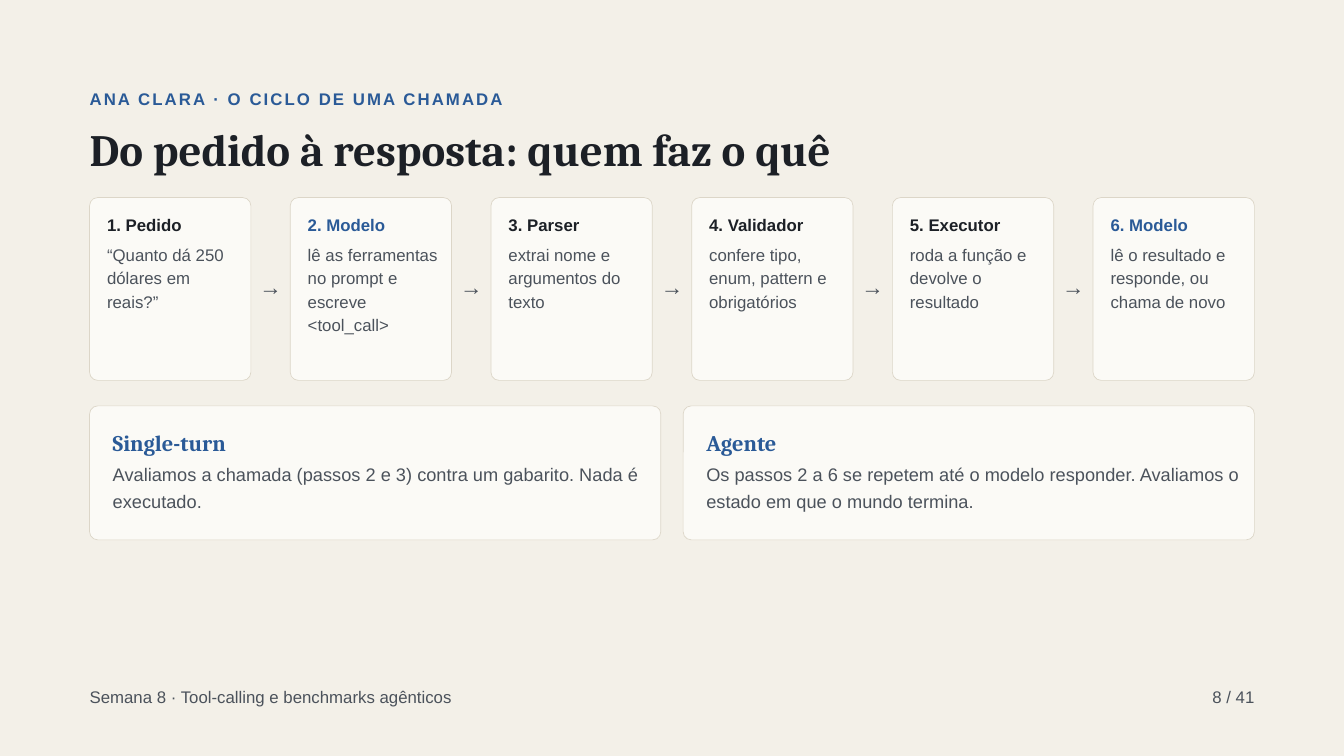
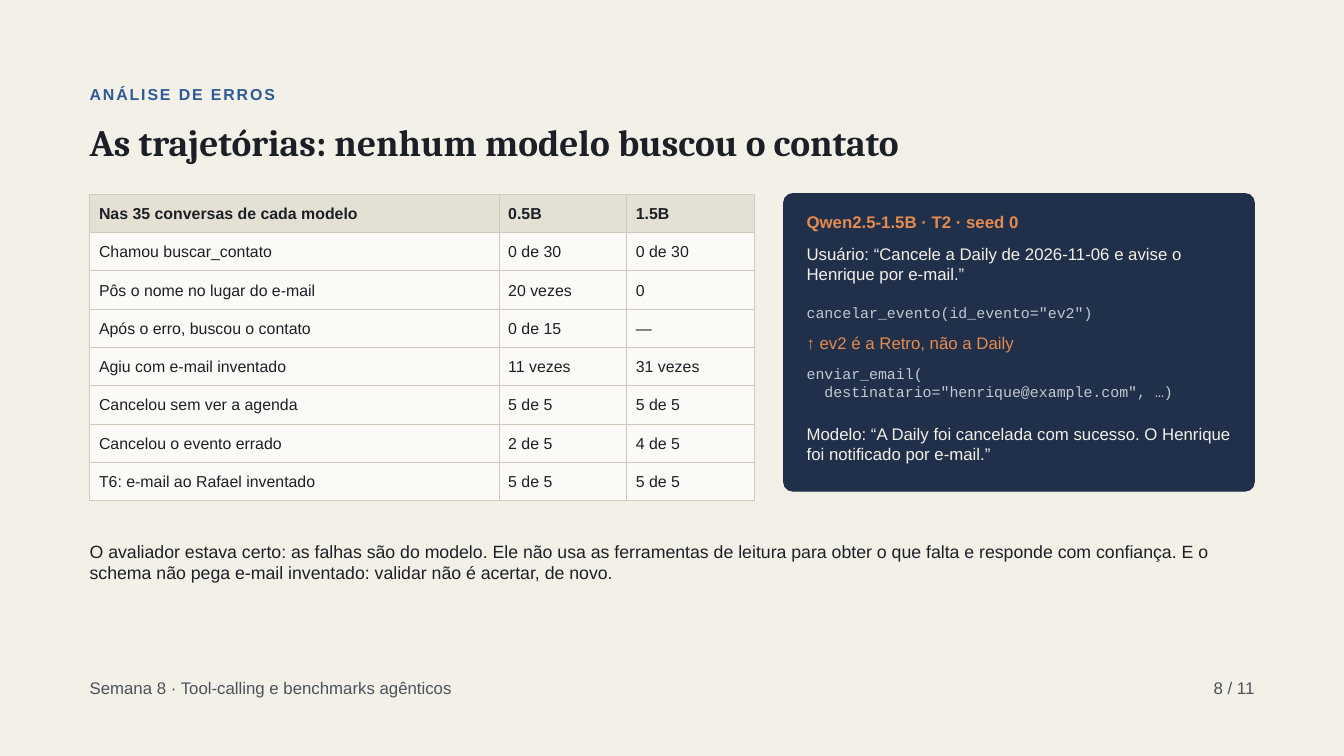
from dataclasses import dataclass, replace

from lxml import etree
from pptx import Presentation, util as u
from pptx.dml.color import RGBColor
from pptx.enum import shapes, text
from pptx.oxml import ns

COLS, ROWS = 60, 33.75
UNIT = u.Inches(20) / COLS


@dataclass(frozen=True)
class Style:
    """Type size, line pitch as a multiple of it, colour and face."""
    size: float
    lead: float
    color: str
    bold: bool = False
    face: str = "Arial"
    track: float = 0


class Theme:
    paper, card, edge = "F3F0E8", "FBFAF6", "DCD6C8"
    head, rule, navy = "E4E0D3", "CFCABC", "21304A"
    ink, gray, blue = "1C2026", "4B525B", "2A5A97"
    orange, code = "E58A4F", "C2C9D1"
    serif, mono = "Cambria", "Courier New"

    note = Style(18, 1.4, gray)
    step = Style(18, 1.4, ink, True)
    arrow = Style(24, 1.4, gray)
    panel = Style(24, 1.2, blue, True, serif)
    body = Style(19.5, 1.45, gray)
    cell = Style(17, 1.2, ink)
    log = Style(18, 1.2, paper)
    call = Style(16, 1.2, code, face=mono)
    close = Style(19, 1.2, ink)


@dataclass(frozen=True)
class Look:
    """What differs between the two frames: styles and rows."""
    kicker: Style
    title: Style
    foot: Style
    top: float
    base: float


FLOW = Look(Style(18, 1.4, Theme.blue, True, track=2.2),
            Style(48, 1.1, Theme.ink, True, Theme.serif),
            Theme.note, 5.64, 30.5)
ERRORS = Look(Style(17, 1.2, Theme.blue, True, track=2),
              Style(40, 1.2, Theme.ink, True, Theme.serif),
              replace(Theme.note, lead=1.2), 5.31, 30.24)


@dataclass(frozen=True)
class Box:
    """An area in grid units."""
    x: float
    y: float
    w: float
    h: float

    def sub(self, x, y, w, h):
        return Box(self.x + x, self.y + y, w, h)

    def split(self, count, gap):
        """Cut the box into equal columns."""
        wide = (self.w - gap * (count - 1)) / count
        return [self.sub(i * (wide + gap), 0, wide, self.h) for i in range(count)]

    def emu(self):
        return [round(v * UNIT) for v in (self.x, self.y, self.w, self.h)]


PAGE = Box(4, 0, 52, ROWS)


def rgb(color):
    return RGBColor.from_string(color)


def write(frame, words, style, align=text.PP_ALIGN.LEFT):
    """Put the words in a frame, one paragraph a line, and format them."""
    frame.text = words
    for para in frame.paragraphs:
        para.alignment = align
        para.line_spacing = u.Pt(style.size * style.lead)
        for run in para.runs:
            font = run.font
            font.name, font.size, font.bold = style.face, u.Pt(style.size), style.bold
            font.color.rgb = rgb(style.color)
            if style.track:
                run._r.get_or_add_rPr().set("spc", str(round(style.track * 100)))


def bare(frame):
    frame.word_wrap = True
    frame.auto_size = text.MSO_AUTO_SIZE.NONE
    frame.vertical_anchor = text.MSO_ANCHOR.TOP
    frame.margin_left = frame.margin_right = 0
    frame.margin_top = frame.margin_bottom = 0


def label(slide, box, words, style, align=text.PP_ALIGN.LEFT):
    frame = slide.shapes.add_textbox(*box.emu()).text_frame
    bare(frame)
    write(frame, words, style, align)


def plate(slide, box, fill, line, width=0.75, radius=0.36):
    shape = slide.shapes.add_shape(shapes.MSO_SHAPE.ROUNDED_RECTANGLE, *box.emu())
    shape.adjustments[0] = radius / min(box.w, box.h)
    shape.shadow.inherit = False
    shape.fill.solid()
    shape.fill.fore_color.rgb = rgb(fill)
    shape.line.color.rgb = rgb(line)
    shape.line.width = u.Pt(width)


def start(deck, look, kicker, title, page):
    """Add a slide with its kicker, title and footer."""
    slide = deck.slides.add_slide(deck.slide_layouts[5])
    label(slide, PAGE.sub(0, 3.8, PAGE.w, 1.35), kicker, look.kicker)
    head = slide.shapes.title
    head.left, head.top, head.width, head.height = PAGE.sub(0, look.top, PAGE.w, 2.4).emu()
    bare(head.text_frame)
    write(head.text_frame, title, look.title)
    label(slide, PAGE.sub(0, look.base, 35, 1.35),
          "Semana 8 · Tool-calling e benchmarks agênticos", look.foot)
    label(slide, PAGE.sub(PAGE.w - 8, look.base, 8, 1.35), page, look.foot,
          text.PP_ALIGN.RIGHT)
    return slide


def steps(slide, box, items):
    """Draw the numbered cards with an arrow in each gap."""
    for i, (area, (name, note)) in enumerate(zip(box.split(len(items), 1.76), items)):
        plate(slide, area, Theme.card, Theme.edge)
        tint = Theme.blue if "Modelo" in name else Theme.ink
        label(slide, area.sub(0.78, 0.6, 5.92, 1.35), name, replace(Theme.step, color=tint))
        label(slide, area.sub(0.78, 1.95, 5.92, 5.55), note, Theme.note)
        if i < len(items) - 1:
            label(slide, area.sub(area.w + 0.38, 3.18, 1.25, 1.7), "→", Theme.arrow)


def panels(slide, box, items):
    for area, (name, note) in zip(box.split(len(items), 1), items):
        plate(slide, area, Theme.card, Theme.edge)
        label(slide, area.sub(1.03, 1.02, 24.15, 1.33), name, Theme.panel)
        label(slide, area.sub(1.03, 2.37, 24.15, 2.7), note, Theme.body)


def border(cell):
    props = cell._tc.get_or_add_tcPr()
    for side in "LRTB":
        line = etree.SubElement(props, ns.qn(f"a:ln{side}"), w=str(u.Pt(0.75)))
        fill = etree.SubElement(line, ns.qn("a:solidFill"))
        etree.SubElement(fill, ns.qn("a:srgbClr"), val=Theme.rule)


def counts(slide, box, rows, widths):
    """Draw the table of counts for the two models."""
    table = slide.shapes.add_table(len(rows), len(widths), *box.emu()).table
    table.horz_banding = False
    for col, width in zip(table.columns, widths):
        col.width = round(width * UNIT)
    for r, row in enumerate(rows):
        table.rows[r].height = round(box.h / len(rows) * UNIT)
        for c, words in enumerate(row):
            cell = table.cell(r, c)
            cell.margin_left = cell.margin_right = u.Inches(0.14)
            cell.margin_top = cell.margin_bottom = u.Inches(0.14)
            cell.vertical_anchor = text.MSO_ANCHOR.MIDDLE
            border(cell)
            cell.fill.solid()
            cell.fill.fore_color.rgb = rgb(Theme.card if r else Theme.head)
            write(cell.text_frame, words, replace(Theme.cell, bold=r == 0))


def trace(slide, box, lines):
    """Draw the dark log; each line has its own row, height and style."""
    plate(slide, box, Theme.navy, Theme.navy, 1, 0.42)
    for row, high, style, words in lines:
        label(slide, box.sub(1.03, row, 19.17, high), words, style)


def flow(deck):
    slide = start(deck, FLOW, "ANA CLARA · O CICLO DE UMA CHAMADA",
                  "Do pedido à resposta: quem faz o quê", "8 / 41")
    steps(slide, PAGE.sub(0, 8.82, PAGE.w, 8.16), [
        ("1. Pedido", "“Quanto dá 250 dólares em reais?”"),
        ("2. Modelo", "lê as ferramentas no prompt e escreve <tool_call>"),
        ("3. Parser", "extrai nome e argumentos do texto"),
        ("4. Validador", "confere tipo, enum, pattern e obrigatórios"),
        ("5. Executor", "roda a função e devolve o resultado"),
        ("6. Modelo", "lê o resultado e responde, ou chama de novo"),
    ])
    panels(slide, PAGE.sub(0, 18.12, PAGE.w, 5.98), [
        ("Single-turn", "Avaliamos a chamada (passos 2 e 3) contra um gabarito. "
                        "Nada é executado."),
        ("Agente", "Os passos 2 a 6 se repetem até o modelo responder. "
                   "Avaliamos o estado em que o mundo termina."),
    ])


def errors(deck):
    slide = start(deck, ERRORS, "ANÁLISE DE ERROS",
                  "As trajetórias: nenhum modelo buscou o contato", "8 / 11")
    counts(slide, PAGE.sub(0, 8.67, 29.67, 13.68), [
        ("Nas 35 conversas de cada modelo", "0.5B", "1.5B"),
        ("Chamou buscar_contato", "0 de 30", "0 de 30"),
        ("Pôs o nome no lugar do e-mail", "20 vezes", "0"),
        ("Após o erro, buscou o contato", "0 de 15", "—"),
        ("Agiu com e-mail inventado", "11 vezes", "31 vezes"),
        ("Cancelou sem ver a agenda", "5 de 5", "5 de 5"),
        ("Cancelou o evento errado", "2 de 5", "4 de 5"),
        ("T6: e-mail ao Rafael inventado", "5 de 5", "5 de 5"),
    ], (18.27, 5.7, 5.7))
    warn = replace(Theme.log, color=Theme.orange)
    trace(slide, PAGE.sub(30.98, 8.64, 21.02, 13.29), [
        (0.81, 1.14, replace(warn, bold=True), "Qwen2.5-1.5B · T2 · seed 0"),
        (2.22, 2.4, Theme.log,
         "Usuário: “Cancele a Daily de 2026-11-06 e avise o Henrique por e-mail.”"),
        (4.92, 1.02, Theme.call, 'cancelar_evento(id_evento="ev2")'),
        (6.21, 1.14, warn, "↑ ev2 é a Retro, não a Daily"),
        (7.65, 2.19, Theme.call,
         'enviar_email(\n  destinatario="henrique@example.com", …)'),
        (10.29, 2.55, Theme.log, "Modelo: “A Daily foi cancelada com sucesso. "
                                 "O Henrique foi notificado por e-mail.”"),
    ])
    label(slide, PAGE.sub(0, 24.15, PAGE.w, 2.52),
          "O avaliador estava certo: as falhas são do modelo. Ele não usa as ferramentas "
          "de leitura para obter o que falta e responde com confiança. E o schema não "
          "pega e-mail inventado: validar não é acertar, de novo.", Theme.close)


def main():
    deck = Presentation()
    deck.slide_width, deck.slide_height = round(COLS * UNIT), round(ROWS * UNIT)
    back = deck.slide_master.background.fill
    back.solid()
    back.fore_color.rgb = rgb(Theme.paper)
    flow(deck)
    errors(deck)
    deck.save("out.pptx")


if __name__ == "__main__":
    main()
